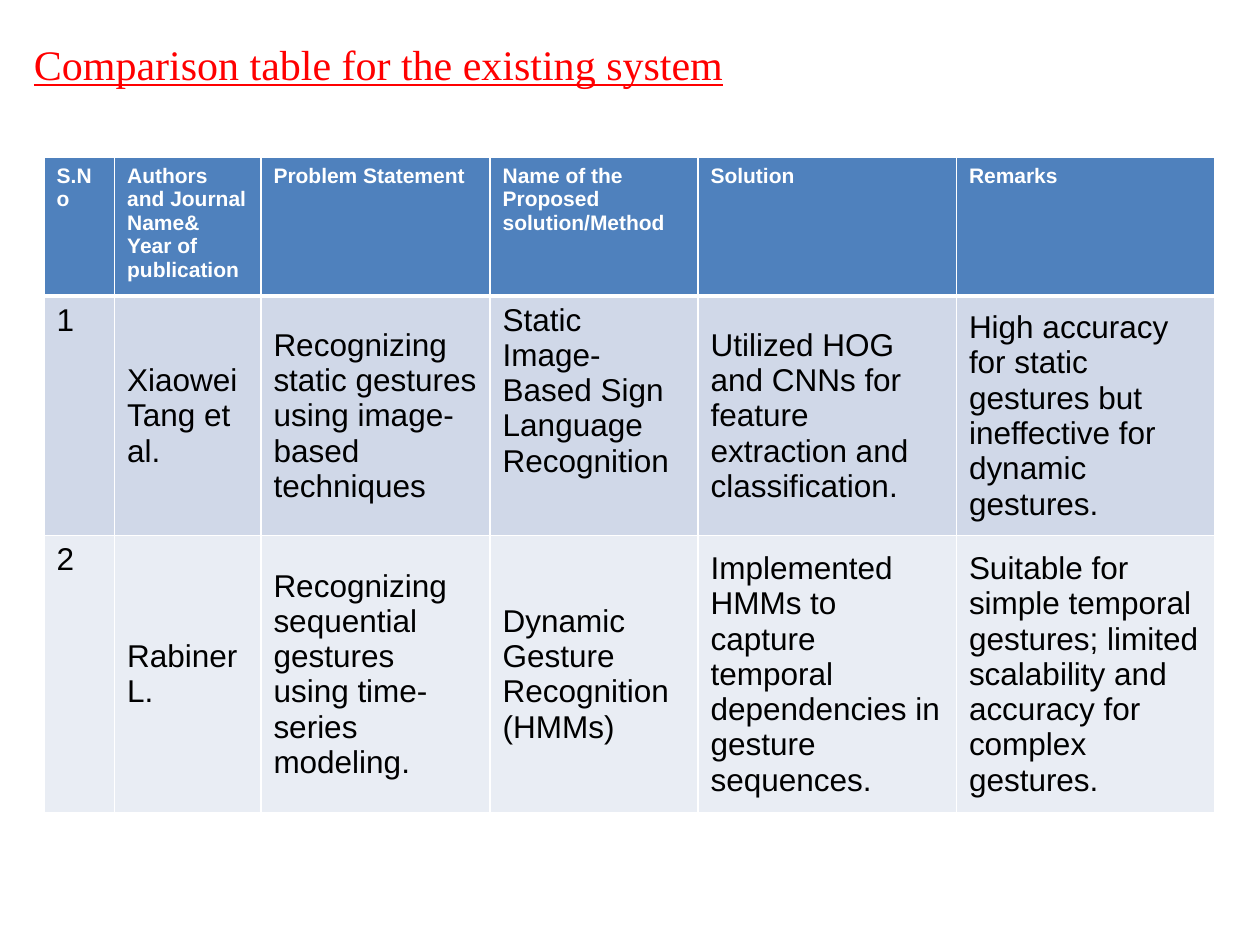
from lxml.etree import SubElement
from pptx import Presentation
from pptx.dml.color import RGBColor
from pptx.enum.text import MSO_ANCHOR as Anchor, MSO_AUTO_SIZE as AutoSize, PP_ALIGN as Align
from pptx.oxml.ns import qn
from pptx.util import Cm, Pt

RED = RGBColor(0xFF, 0x00, 0x00)
WHITE = RGBColor(0xFF, 0xFF, 0xFF)
BLACK = RGBColor(0x00, 0x00, 0x00)
HEADER_BLUE = RGBColor(0x4F, 0x81, 0xBD)
BANDS = (RGBColor(0xD0, 0xD8, 0xE8), RGBColor(0xE9, 0xED, 0xF4))

COLUMN_WIDTHS = (1.42, 2.95, 4.62, 4.19, 5.21, 5.21)
ROW_HEIGHTS = (2.79, 4.83, 5.59)
HEADINGS = (
    "S.No", "Authors and Journal Name& Year of publication", "Problem Statement",
    "Name of the Proposed solution/Method", "Solution", "Remarks",
)
STUDIES = (
    ("1", "Xiaowei Tang et al.",
     "Recognizing static gestures using image-based techniques",
     "Static Image-Based Sign Language Recognition",
     "Utilized HOG and CNNs for feature extraction and classification.",
     "High accuracy for static gestures but ineffective for dynamic gestures."),
    ("2", "Rabiner L.",
     "Recognizing sequential gestures using time-series modeling.",
     "Dynamic Gesture Recognition (HMMs)",
     "Implemented HMMs to capture temporal dependencies in gesture sequences.",
     "Suitable for simple temporal gestures; limited scalability and accuracy "
     "for complex gestures."),
)
TOP_ANCHORED = {(1, 0), (1, 3), (2, 0)}  # (row, column) of body cells


def style_font(paragraph, name, size, color, bold=False, underline=False):
    font = paragraph.runs[0].font
    font.name, font.size, font.bold, font.underline = name, Pt(size), bold, underline
    font.color.rgb = color


def add_title(slide, left, top, width, height):
    title = slide.shapes.title
    title.left, title.top, title.width, title.height = left, top, width, height
    frame = title.text_frame
    frame.text = "Comparison table for the existing system"
    frame.word_wrap = True
    frame.auto_size = AutoSize.NONE
    frame.vertical_anchor = Anchor.TOP
    heading = frame.paragraphs[0]
    heading.alignment = Align.LEFT
    style_font(heading, "Times New Roman", 24, RED, underline=True)


def set_borders(cell, top=1, bottom=1):
    """Draw white cell borders, widths in points; call before setting the fill."""
    properties = cell._tc.get_or_add_tcPr()
    for side, width in (("L", 1), ("R", 1), ("T", top), ("B", bottom)):
        line = SubElement(properties, qn(f"a:ln{side}"), w=str(Pt(width)))
        fill = SubElement(line, qn("a:solidFill"))
        SubElement(fill, qn("a:srgbClr"), val=str(WHITE))


def fill_cell(cell, text, color):
    """Set the cell's fill and text, and return its paragraph."""
    cell.fill.solid()
    cell.fill.fore_color.rgb = color
    cell.text_frame.text = text
    return cell.text_frame.paragraphs[0]


def add_comparison_table(slide, left, top, width, height):
    rows = (HEADINGS, *STUDIES)
    table = slide.shapes.add_table(
        len(rows), len(HEADINGS), left, top, width, height).table
    for column, column_width in zip(table.columns, COLUMN_WIDTHS):
        column.width = Cm(column_width)
    for row, row_height in zip(table.rows, ROW_HEIGHTS):
        row.height = Cm(row_height)

    for r, texts in enumerate(rows):
        for c, text in enumerate(texts):
            cell = table.cell(r, c)
            if r == 0:
                set_borders(cell, bottom=3)
                heading = fill_cell(cell, text, HEADER_BLUE)
                style_font(heading, "Arial", 12, WHITE, bold=True)
            else:
                set_borders(cell, top=3 if r == 1 else 1)
                entry = fill_cell(cell, text, BANDS[r - 1])
                style_font(entry, "Arial", 18, BLACK)
                if (r, c) not in TOP_ANCHORED:
                    cell.vertical_anchor = Anchor.MIDDLE


def main():
    deck = Presentation()
    deck.slide_width, deck.slide_height = Cm(25.4), Cm(19.05)
    slide = deck.slides.add_slide(deck.slide_layouts.get_by_name("Title Only"))
    add_title(slide, Cm(0.43), Cm(0.64), Cm(24.97), Cm(1.27))
    add_comparison_table(slide, Cm(0.89), Cm(3.18),
                         Cm(sum(COLUMN_WIDTHS)), Cm(sum(ROW_HEIGHTS)))
    deck.save("out.pptx")


if __name__ == "__main__":
    main()
